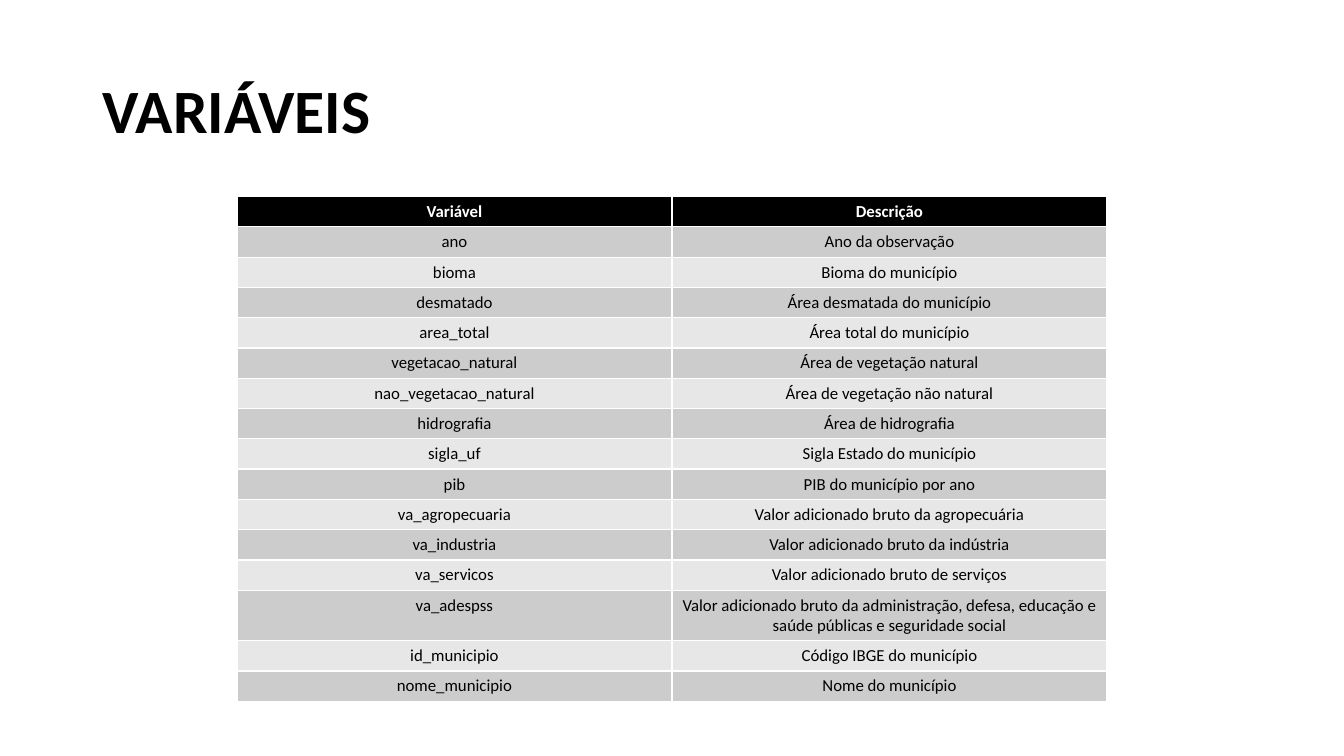
from pptx import Presentation
from pptx.dml.color import RGBColor
from pptx.enum.text import MSO_ANCHOR as Anchor, PP_ALIGN as Align
from pptx.util import Inches, Pt

FONT = "Calibri"
HEADINGS = ("Variável", "Descrição")
VARIABLES = [
    ("ano", "Ano da observação"),
    ("bioma", "Bioma do município"),
    ("desmatado", "Área desmatada do município"),
    ("area_total", "Área total do município"),
    ("vegetacao_natural", "Área de vegetação natural"),
    ("nao_vegetacao_natural", "Área de vegetação não natural"),
    ("hidrografia", "Área de hidrografia"),
    ("sigla_uf", "Sigla Estado do município"),
    ("pib", "PIB do município por ano"),
    ("va_agropecuaria", "Valor adicionado bruto da agropecuária"),
    ("va_industria", "Valor adicionado bruto da indústria"),
    ("va_servicos", "Valor adicionado bruto de serviços"),
    ("va_adespss", "Valor adicionado bruto da administração, defesa, "
                   "educação e saúde públicas e seguridade social"),
    ("id_municipio", "Código IBGE do município"),
    ("nome_municipio", "Nome do município"),
]


def color(hex_code):
    return RGBColor.from_string(hex_code)


def write(frame, words, size, ink, bold):
    paragraph = frame.paragraphs[0]
    paragraph.text = words
    font = paragraph.font
    font.name, font.size, font.bold = FONT, Pt(size), bold
    font.color.rgb = color(ink)
    return paragraph


def add_heading(slide, box, words):
    frame = slide.shapes.add_textbox(*box).text_frame
    frame.word_wrap = True
    frame.vertical_anchor = Anchor.MIDDLE
    write(frame, words, 44, "000000", True).line_spacing = 0.9


def add_dictionary(slide, box, headings, entries):
    lines = [headings, *entries]
    left, top, width, row_height = box
    table = slide.shapes.add_table(
        len(lines), len(headings), left, top, width, row_height * len(lines)).table
    for row, line in enumerate(lines):
        is_header = row == 0
        band = "000000" if is_header else "CCCCCC" if row % 2 else "E7E7E7"
        ink = "FFFFFF" if is_header else "000000"
        for column, words in enumerate(line):
            cell = table.cell(row, column)
            cell.fill.solid()
            cell.fill.fore_color.rgb = color(band)
            write(cell.text_frame, words, 12, ink, is_header).alignment = Align.CENTER


def inches(*lengths):
    return [Inches(length) for length in lengths]


deck = Presentation()
deck.slide_width, deck.slide_height = inches(13.33, 7.5)
variables_slide = deck.slides.add_slide(deck.slide_layouts[6])
add_heading(variables_slide, inches(0.92, 0.4, 11.5, 1.45), "VARIÁVEIS")
add_dictionary(variables_slide, inches(2.35, 1.95, 8.63, 0.29), HEADINGS, VARIABLES)
deck.save("out.pptx")
